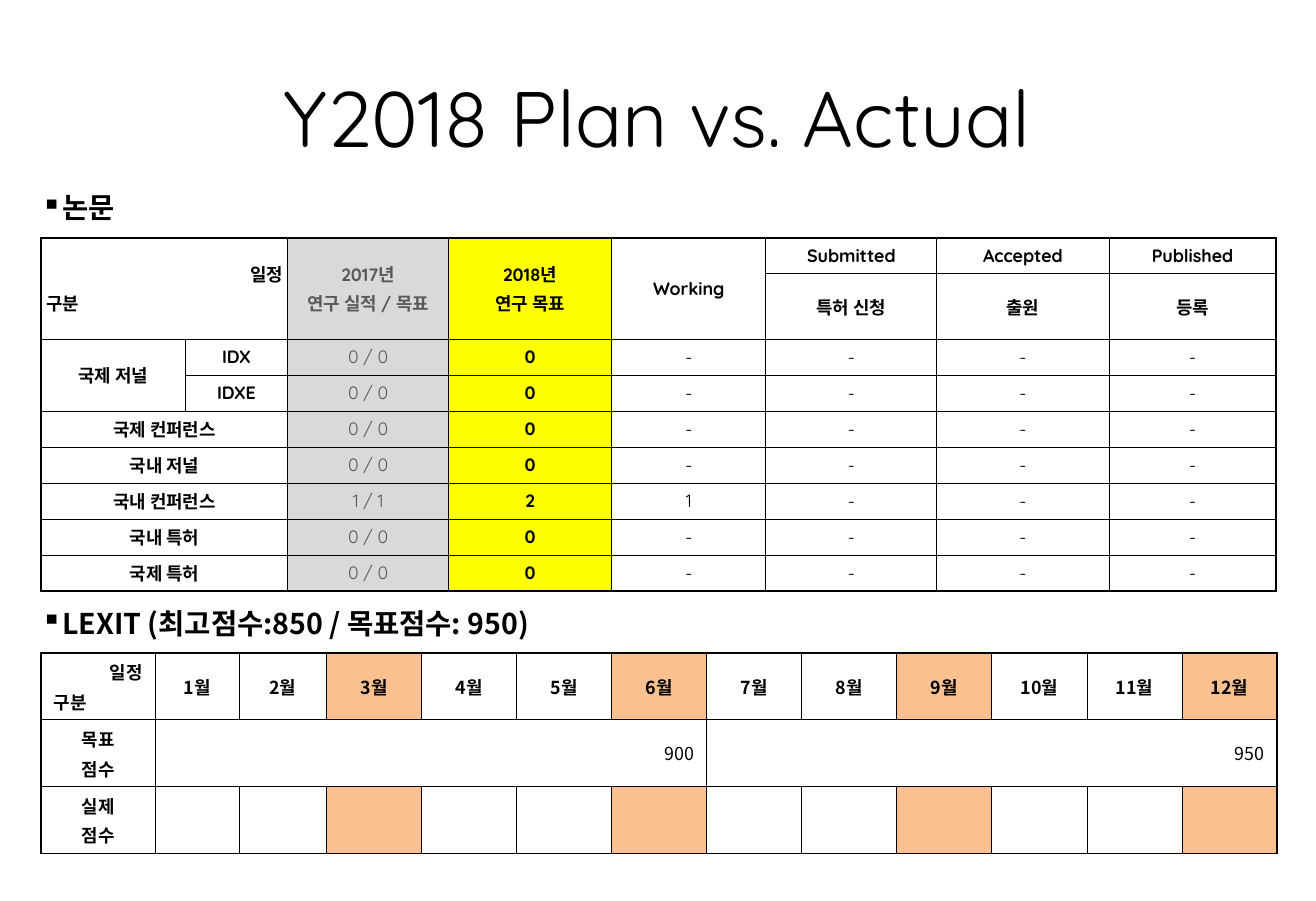
from lxml import etree
from pptx import Presentation
from pptx.dml.color import RGBColor
from pptx.enum.text import MSO_ANCHOR, PP_ALIGN
from pptx.oxml.ns import qn
from pptx.util import Inches, Pt

LEFT, CENTER, RIGHT = PP_ALIGN.LEFT, PP_ALIGN.CENTER, PP_ALIGN.RIGHT
MIDDLE = MSO_ANCHOR.MIDDLE
LATIN, KOREAN = "Quicksand", "Noto Sans CJK KR"
BLACK, DARK_GRAY, WHITE = "000000", "595959", "FFFFFF"
GRAY, YELLOW, ORANGE = "D9D9D9", "FFFF00", "FAC090"
THIN, THICK = 0.5, 1


def rgb(code):
    """Turn a hex string into a colour."""
    return RGBColor.from_string(code)


def style_paragraph(paragraph, size, latin, color=BLACK, bold=False, align=LEFT):
    """Set alignment and font, with a Korean face for Hangul."""
    paragraph.alignment = align
    font = paragraph.font
    font.size, font.bold, font.name = Pt(size), bold, latin
    font.color.rgb = rgb(color)
    properties = paragraph._p.pPr.find(qn("a:defRPr"))
    etree.SubElement(properties, qn("a:ea"), typeface=KOREAN)


def write_cell(cell, lines, latin, color=BLACK, bold=True, aligns=(CENTER, CENTER)):
    """Write the lines of one table cell, one paragraph each."""
    cell.text = "\n".join(lines)
    for paragraph, align in zip(cell.text_frame.paragraphs, aligns):
        style_paragraph(paragraph, 10, latin, color, bold, align)
        paragraph.space_before = Pt(2)


def draw_borders(table):
    """Draw thin inner lines and a thicker outline around the table."""
    row_count, column_count = len(table.rows), len(table.columns)
    for r in range(row_count):
        for c in range(column_count):
            cell = table.cell(r, c)
            if cell.is_spanned:
                continue
            outer_edges = {
                "lnL": c == 0,
                "lnR": c + cell.span_width == column_count,
                "lnT": r == 0,
                "lnB": r + cell.span_height == row_count,
            }
            properties = cell._tc.get_or_add_tcPr()
            for position, (edge, outer) in enumerate(outer_edges.items()):
                width = Pt(THICK if outer else THIN)
                line = etree.Element(qn(f"a:{edge}"), w=str(int(width)))
                fill = etree.SubElement(line, qn("a:solidFill"))
                etree.SubElement(fill, qn("a:srgbClr"), val=BLACK)
                properties.insert(position, line)


def add_grid(slide, box, widths, heights, margins, column_fills):
    """Add a plain table whose columns have the given fills."""
    left, top = box
    table = slide.shapes.add_table(
        len(heights), len(widths), Inches(left), Inches(top),
        Inches(sum(widths)), Inches(sum(heights))).table
    table.first_row = table.horz_banding = False
    for column, width in zip(table.columns, widths):
        column.width = Inches(width)
    for row, height in zip(table.rows, heights):
        row.height = Inches(height)
        for c, cell in enumerate(row.cells):
            cell.vertical_anchor = MIDDLE
            cell.margin_left = cell.margin_right = Inches(margins[0])
            cell.margin_top = cell.margin_bottom = Inches(margins[1])
            if c in column_fills:
                cell.fill.solid()
                cell.fill.fore_color.rgb = rgb(column_fills[c])
            else:
                cell.fill.background()
    return table


def add_title(slide, box, text):
    """Place the slide title."""
    title = slide.shapes.title
    title.left, title.top, title.width, title.height = map(Inches, box)
    title.text_frame.text = text
    title.text_frame.vertical_anchor = MIDDLE
    style_paragraph(title.text_frame.paragraphs[0], 44, LATIN, align=CENTER)


def add_heading(slide, box, text):
    """Add a bulleted section heading."""
    frame = slide.shapes.add_textbox(*map(Inches, box)).text_frame
    frame.word_wrap = True
    frame.vertical_anchor = MIDDLE
    frame.margin_left = frame.margin_right = 0
    frame.margin_top = frame.margin_bottom = 0
    frame.text = text
    paragraph = frame.paragraphs[0]
    properties = paragraph._p.get_or_add_pPr()
    indent = int(Inches(0.16))
    properties.set("marL", str(indent))
    properties.set("indent", str(-indent))
    etree.SubElement(properties, qn("a:buChar"), char="▪")
    style_paragraph(paragraph, 16, KOREAN, bold=True)


def add_research_table(slide, box):
    """Add the table of papers and patents, planned and achieved."""
    table = add_grid(
        slide, box, [1.12, 0.8, 1.25, 1.27, 1.2, 1.33, 1.34, 1.3],
        [0.28, 0.5] + [0.28] * 7, (0.04, 0.04), {2: GRAY, 3: YELLOW})
    table.cell(0, 0).merge(table.cell(1, 1))
    for c in (2, 3, 4):
        table.cell(0, c).merge(table.cell(1, c))
    table.cell(2, 0).merge(table.cell(3, 0))

    write_cell(table.cell(0, 0), ["일정", "구분"], LATIN, aligns=(RIGHT, LEFT))
    write_cell(table.cell(0, 2), ["2017년", "연구 실적 / 목표"], LATIN, DARK_GRAY)
    write_cell(table.cell(0, 3), ["2018년", "연구 목표"], LATIN)
    write_cell(table.cell(0, 4), ["Working"], LATIN)
    stages = [("Submitted", "특허 신청"), ("Accepted", "출원"), ("Published", "등록")]
    for c, stage in enumerate(stages, 5):
        for r, label in enumerate(stage):
            write_cell(table.cell(r, c), [label], LATIN)

    write_cell(table.cell(2, 0), ["국제 저널"], LATIN)
    categories = ["IDX", "IDXE", "국제 컨퍼런스", "국내 저널",
                  "국내 컨퍼런스", "국내 특허", "국제 특허"]
    results = {"국내 컨퍼런스": ("1 / 1", "2", "1")}
    for r, category in enumerate(categories, 2):
        if r < 4:
            write_cell(table.cell(r, 1), [category], LATIN)
        else:
            table.cell(r, 0).merge(table.cell(r, 1))
            write_cell(table.cell(r, 0), [category], LATIN)
        last_year, goal, working = results.get(category, ("0 / 0", "0", "-"))
        write_cell(table.cell(r, 2), [last_year], LATIN, DARK_GRAY, bold=False)
        write_cell(table.cell(r, 3), [goal], LATIN)
        for c, count in enumerate([working, "-", "-", "-"], 4):
            write_cell(table.cell(r, c), [count], LATIN, bold=False)
    draw_borders(table)


def add_score_table(slide, box):
    """Add the monthly table of target and actual test scores."""
    months = range(1, 13)
    month_fills = {m: WHITE if m % 3 else ORANGE for m in months}
    table = add_grid(slide, box, [0.89, 0.65, 0.68] + [0.74] * 10,
                     [0.52] * 3, (0.1, 0.05), month_fills)
    write_cell(table.cell(0, 0), ["일정", "구분"], KOREAN, aligns=(RIGHT, LEFT))
    for month in months:
        write_cell(table.cell(0, month), [f"{month}월"], KOREAN)
    for r, label in enumerate(["목표", "실제"], 1):
        write_cell(table.cell(r, 0), [label, "점수"], KOREAN)
    for first_month, target in ((1, "900"), (7, "950")):
        half_year = table.cell(1, first_month)
        half_year.merge(table.cell(1, first_month + 5))
        write_cell(half_year, [target], KOREAN, bold=False, aligns=(RIGHT,))
    draw_borders(table)


def build_plan_slide(presentation):
    """Build the slide that compares plan and actual results."""
    slide = presentation.slides.add_slide(presentation.slide_layouts[5])
    add_title(slide, (0.39, 0.35, 9.45, 1.1), "Y2018 Plan vs. Actual")
    add_research_table(slide, (0.32, 1.85))
    add_heading(slide, (0.32, 1.46, 9.61, 0.31), "논문")
    add_heading(slide, (0.32, 4.69, 9.61, 0.31),
                "LEXIT (최고점수:850 / 목표점수: 950)")
    add_score_table(slide, (0.32, 5.08))


presentation = Presentation()
presentation.slide_width, presentation.slide_height = Inches(10.24), Inches(7.01)
build_plan_slide(presentation)
presentation.save("out.pptx")
